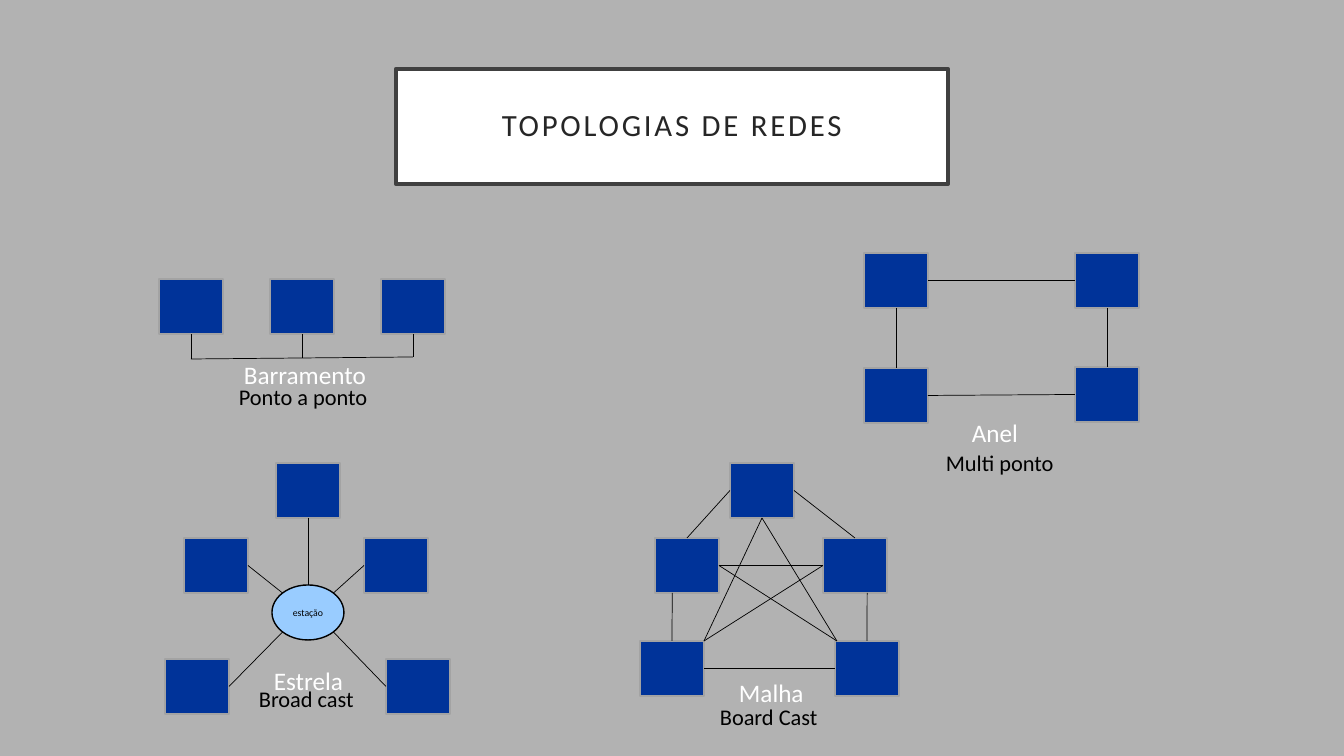
from dataclasses import dataclass

from lxml import etree
from pptx import Presentation
from pptx.dml.color import RGBColor
from pptx.enum.shapes import MSO_CONNECTOR, MSO_SHAPE
from pptx.enum.text import MSO_ANCHOR, MSO_AUTO_SIZE, PP_ALIGN
from pptx.oxml.ns import qn
from pptx.util import Pt

EMU_PER_PIXEL = 914400 / 100.8


@dataclass(frozen=True)
class Theme:
    font: str = "Calibri"
    background: str = "B2B2B2"
    white: str = "FFFFFF"
    black: str = "000000"
    title_text: str = "262626"
    title_border: str = "404040"
    node: str = "003399"
    node_border: str = "A3A3A3"
    hub: str = "99CCFF"
    title_size: int = 22
    name_size: int = 18
    mode_size: int = 16
    hub_size: int = 7


THEME = Theme()
NODE_WIDTH, NODE_HEIGHT = 64, 55

# Points on a shape, as fractions of its width and height
TOP, BOTTOM, LEFT, RIGHT = (0.5, 0), (0.5, 1), (0, 0.5), (1, 0.5)
TOP_RIGHT = (1, 0)


def emu(pixels):
    return round(pixels * EMU_PER_PIXEL)


def color(value):
    return RGBColor.from_string(value)


def write_text(shape, text, *, size, fill, align=PP_ALIGN.LEFT,
               anchor=MSO_ANCHOR.TOP, wrap=False, spacing=None, line_spacing=None):
    frame = shape.text_frame
    frame.auto_size = MSO_AUTO_SIZE.NONE
    frame.word_wrap = wrap
    frame.vertical_anchor = anchor
    paragraph = frame.paragraphs[0]
    paragraph.alignment = align
    if line_spacing:
        paragraph.line_spacing = line_spacing
    run = paragraph.add_run()
    run.text = text
    run.font.name = THEME.font
    run.font.size = Pt(size)
    run.font.color.rgb = color(fill)
    if spacing:
        run.font._element.set("spc", str(spacing * 100))


def paint(shape, fill, border, weight):
    shape.fill.solid()
    shape.fill.fore_color.rgb = color(fill)
    shape.line.color.rgb = color(border)
    shape.line.width = Pt(weight)


def add_node(slide, left, top, width=NODE_WIDTH, height=NODE_HEIGHT,
             kind=MSO_SHAPE.RECTANGLE, fill=THEME.node, border=THEME.node_border):
    shape = slide.shapes.add_shape(kind, emu(left), emu(top), emu(width), emu(height))
    shape.shadow.inherit = False
    paint(shape, fill, border, 1)
    return shape


def add_nodes(slide, box, positions):
    return [add_node(slide, box[0] + x, box[1] + y) for x, y in positions]


def point_on(shape, place):
    return (round(shape.left + place[0] * shape.width),
            round(shape.top + place[1] * shape.height))


def add_line(slide, start, end):
    line = slide.shapes.add_connector(MSO_CONNECTOR.STRAIGHT, *start, *end)
    line.line.color.rgb = color(THEME.black)
    line.line.width = Pt(0.5)
    etree.SubElement(line._element.spPr, qn("a:effectLst"))


def link(slide, first, first_place, second, second_place):
    add_line(slide, point_on(first, first_place), point_on(second, second_place))


def add_caption(slide, box, name, name_area, mode, mode_area):
    """Each area is left, top and width within the box."""
    for text, (x, y, width), height, size, fill in (
            (name, name_area, 40, THEME.name_size, THEME.white),
            (mode, mode_area, 37, THEME.mode_size, THEME.black)):
        label = slide.shapes.add_textbox(
            emu(box[0] + x), emu(box[1] + y), emu(width), emu(height))
        write_text(label, text, size=size, fill=fill)


def add_title(slide, box):
    title = slide.shapes.title
    title.left, title.top, title.width, title.height = map(emu, box)
    paint(title, THEME.white, THEME.title_border, 3)
    frame = title.text_frame
    frame.margin_left = frame.margin_right = emu(30)
    frame.margin_top = frame.margin_bottom = emu(20)
    write_text(title, "TOPOLOGIAS DE REDES", size=THEME.title_size,
               fill=THEME.title_text, align=PP_ALIGN.CENTER,
               anchor=MSO_ANCHOR.MIDDLE, wrap=True, spacing=2, line_spacing=0.9)


def add_bus(slide, box):
    nodes = add_nodes(slide, box, [(111 * column, 0) for column in range(3)])
    # The bus rises by one pixel from each node to the next
    taps = []
    for column, node in enumerate(nodes):
        start = point_on(node, BOTTOM)
        taps.append((start[0], emu(box[1] + 80 - column)))
        add_line(slide, start, taps[-1])
    add_line(slide, taps[0], taps[-1])
    add_caption(slide, box, "Barramento", (75, 75, 142), "Ponto a ponto", (70, 99, 148))


def add_ring(slide, box):
    top_left, top_right, bottom_left, bottom_right = add_nodes(
        slide, box, [(0, 0), (211, 0), (0, 115), (211, 114)])
    link(slide, top_left, RIGHT, top_right, LEFT)
    link(slide, bottom_left, RIGHT, bottom_right, LEFT)
    link(slide, top_left, BOTTOM, bottom_left, TOP)
    link(slide, top_right, BOTTOM, bottom_right, TOP)
    add_caption(slide, box, "Anel", (98, 159, 68), "Multi ponto", (72, 191, 128))


def add_star(slide, box):
    nodes = add_nodes(
        slide, box, [(111, 0), (19, 75), (199, 75), (0, 196), (221, 196)])
    hub = add_node(slide, box[0] + 107, box[1] + 122, 72, 55,
                   MSO_SHAPE.OVAL, THEME.hub, THEME.black)
    write_text(hub, "estação", size=THEME.hub_size, fill=THEME.black,
               align=PP_ALIGN.CENTER, anchor=MSO_ANCHOR.MIDDLE)
    # Diagonal points of the oval lie at 0.15 and 0.85 of its sides
    near, far = 0.15, 0.85
    spokes = [(BOTTOM, TOP), (RIGHT, (near, near)), (LEFT, (far, near)),
              (RIGHT, (near, far)), (LEFT, (far, far))]
    for node, (node_place, hub_place) in zip(nodes, spokes):
        link(slide, node, node_place, hub, hub_place)
    add_caption(slide, box, "Estrela", (99, 197, 90), "Broad cast", (84, 217, 118))


def add_mesh(slide, box):
    top, left, right, bottom_left, bottom_right = add_nodes(
        slide, box, [(90, 0), (15, 75), (183, 75), (0, 178), (195, 178)])
    inner_corner = (0.03, 0)
    for ends in (
            # Outer edges
            (top, LEFT, left, TOP),
            (top, RIGHT, right, TOP),
            (left, (0.27, 1), bottom_left, TOP),
            (right, (0.69, 1), bottom_right, TOP),
            (bottom_left, RIGHT, bottom_right, LEFT),
            # Inner crossings
            (bottom_left, TOP_RIGHT, top, BOTTOM),
            (bottom_right, inner_corner, top, BOTTOM),
            (bottom_right, inner_corner, left, RIGHT),
            (left, RIGHT, right, LEFT),
            (right, LEFT, bottom_left, TOP_RIGHT)):
        link(slide, *ends)
    add_caption(slide, box, "Malha", (89, 209, 84), "Board Cast", (70, 235, 124))


def build_topologies(presentation):
    slide = presentation.slides.add_slide(presentation.slide_layouts[0])
    subtitle = slide.placeholders[1]._element
    subtitle.getparent().remove(subtitle)
    slide.background.fill.solid()
    slide.background.fill.fore_color.rgb = color(THEME.background)
    add_title(slide, (396, 69, 552, 115))
    add_bus(slide, (159, 279))
    add_ring(slide, (864, 253))
    add_star(slide, (165, 463))
    add_mesh(slide, (640, 463))


presentation = Presentation()
presentation.slide_width, presentation.slide_height = emu(1344), emu(756)
build_topologies(presentation)
presentation.save("out.pptx")
